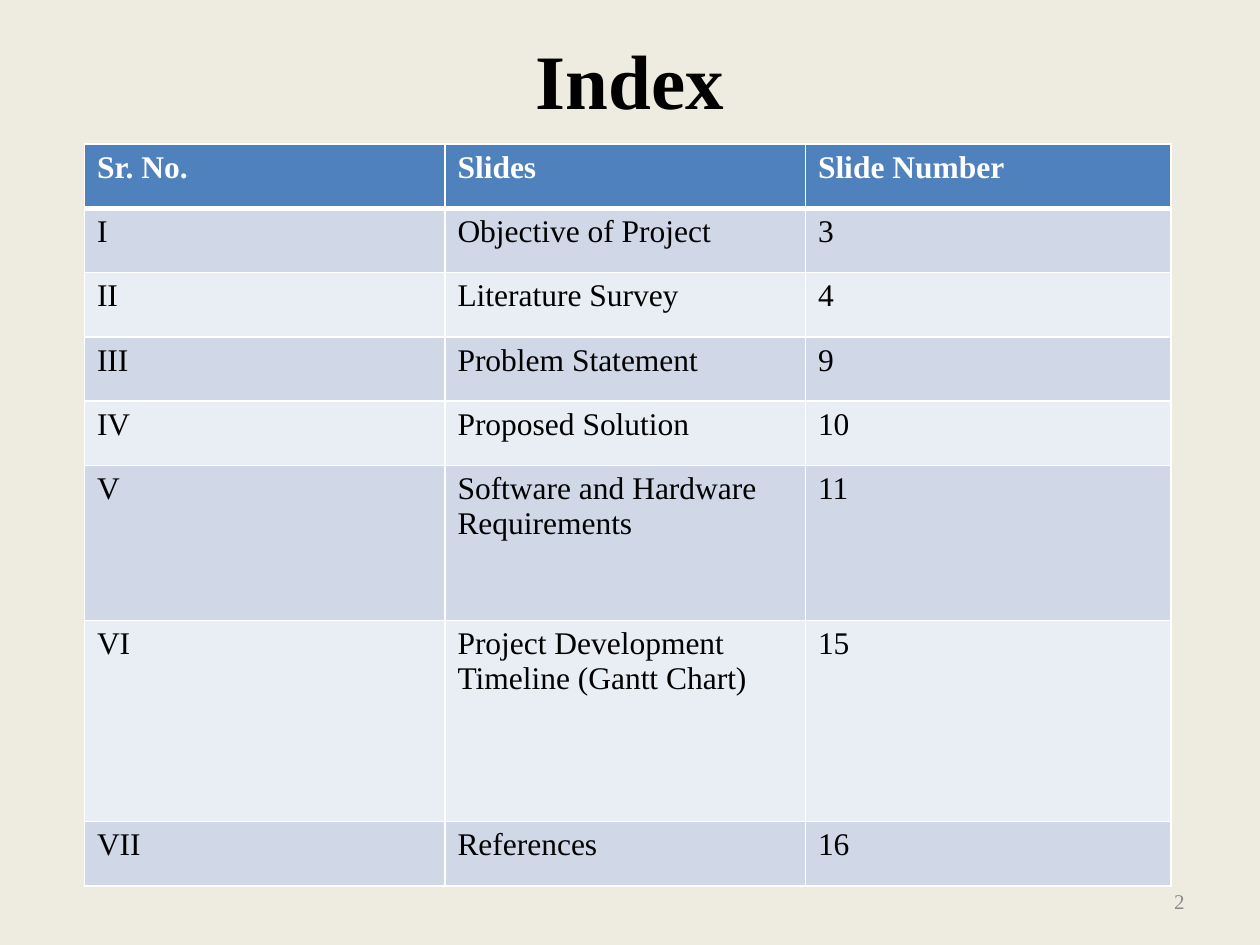
from lxml import etree
from pptx import Presentation
from pptx import util as u
from pptx.dml.color import RGBColor
from pptx.enum import text
from pptx.oxml.ns import qn

FONT = "Times New Roman"
WHITE, BLACK = "FFFFFF", "000000"
HEADER, BANDS = "4F81BD", ("D0D8E8", "E9EDF4")

ROWS = [
    ("Sr. No.", "Slides", "Slide Number"),
    ("I", "Objective of Project", "3"),
    ("II", "Literature Survey", "4"),
    ("III", "Problem Statement", "9"),
    ("IV", "Proposed Solution", "10"),
    ("V", "Software and Hardware Requirements", "11"),
    ("VI", "Project Development Timeline (Gantt Chart)", "15"),
    ("VII", "References", "16"),
]
COL_WIDTHS = (206, 206, 208.8)
ROW_HEIGHT = 36.75
TALL_ROWS = {5: 88.5, 6: 115}


def paint(color, value):
    color.rgb = RGBColor.from_string(value)


def write(tf, words, size, color, bold=False, align=None):
    tf.text = words
    p = tf.paragraphs[0]
    p.alignment = align
    p.font.name, p.font.size, p.font.bold = FONT, u.Pt(size), bold
    paint(p.font.color, color)


def place(sp, left, top, width, height):
    sp.left, sp.top = u.Pt(left), u.Pt(top)
    sp.width, sp.height = u.Pt(width), u.Pt(height)


def set_borders(cell, top, bottom):
    """White lines on all four sides, placed ahead of the cell's fill."""
    tcPr = cell._tc.get_or_add_tcPr()
    sides = (("a:lnL", 1), ("a:lnR", 1), ("a:lnT", top), ("a:lnB", bottom))
    for i, (tag, width) in enumerate(sides):
        ln = etree.Element(qn(tag), w=str(u.Pt(width)))
        fill = etree.SubElement(ln, qn("a:solidFill"))
        etree.SubElement(fill, qn("a:srgbClr"), val=WHITE)
        tcPr.insert(i, ln)


def add_title(s, words):
    sp = s.shapes.title
    place(sp, 36, 0, 648, 90)
    sp.text_frame.vertical_anchor = text.MSO_ANCHOR.MIDDLE
    write(sp.text_frame, words, 44, BLACK, True, text.PP_ALIGN.CENTER)


def add_index_table(s):
    heights = [TALL_ROWS.get(i, ROW_HEIGHT) for i in range(len(ROWS))]
    frame = s.shapes.add_table(len(ROWS), len(COL_WIDTHS), u.Pt(48.25), u.Pt(82.25),
                               u.Pt(sum(COL_WIDTHS)), u.Pt(sum(heights)))
    table = frame.table
    for col, width in zip(table.columns, COL_WIDTHS):
        col.width = u.Pt(width)
    for i, (row, height) in enumerate(zip(table.rows, heights)):
        row.height = u.Pt(height)
        header = i == 0
        for cell, words in zip(row.cells, ROWS[i]):
            write(cell.text_frame, words, 18, WHITE if header else BLACK, header)
            cell.fill.solid()
            paint(cell.fill.fore_color, HEADER if header else BANDS[(i - 1) % 2])
            set_borders(cell, top=3 if i == 1 else 1, bottom=3 if header else 1)


def add_page_number(s, number):
    sp = s.shapes.add_textbox(0, 0, 0, 0)
    place(sp, 516, 500.5, 168, 28.75)
    tf = sp.text_frame
    tf.word_wrap = True
    tf.vertical_anchor = text.MSO_ANCHOR.MIDDLE
    write(tf, number, 12, "8C8C8C", align=text.PP_ALIGN.RIGHT)


def main():
    prs = Presentation()
    prs.slide_width, prs.slide_height = u.Pt(720), u.Pt(540)
    s = prs.slides.add_slide(prs.slide_layouts[5])

    # Background
    s.background.fill.solid()
    paint(s.background.fill.fore_color, "EEECE1")

    # Content
    add_title(s, "Index")
    add_page_number(s, "2")
    add_index_table(s)
    prs.save("out.pptx")


if __name__ == "__main__":
    main()
